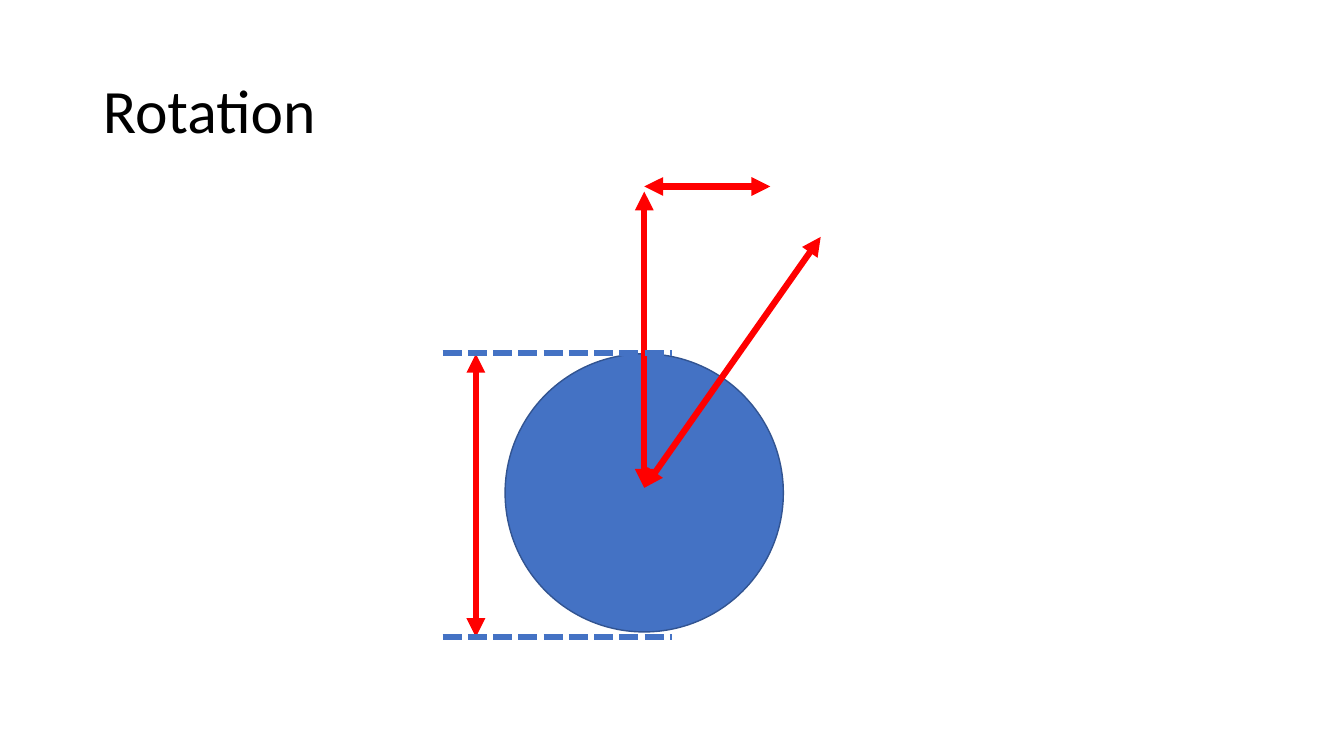
from lxml import etree
from pptx import Presentation, util as u
from pptx.dml.color import RGBColor
from pptx.enum import dml, shapes, text
from pptx.oxml.ns import qn

TITLE = "Rotation"
RED, BLUE, EDGE, BLACK = "FF0000", "4472C4", "325491", "000000"
DISC = (5.01, 3.51, 2.76, 2.76)
HUB = (6.39, 4.84)
TOP, BASE = 3.5, 6.32
UPRIGHT = (HUB, (HUB[0], 1.9))
SHIFT = ((7.64, 1.85), (HUB[0], 1.85))
HEIGHT = ((4.72, BASE), (4.72, TOP + 0.01))
TILTED = (HUB, (8.14, 2.35))
GUIDES = [((4.39, y), (6.67, y)) for y in (TOP, BASE)]


def color(code):
    return RGBColor.from_string(code)


def inches(values):
    return [u.Inches(v) for v in values]


def format_all(item, values):
    for name, value in values.items():
        setattr(item, name, value)


def add_line(slide, ends, code):
    """Add a thick straight line without a shadow."""
    start, end = ends
    line = slide.shapes.add_connector(
        shapes.MSO_CONNECTOR.STRAIGHT, *inches(start + end))
    line.line.color.rgb = color(code)
    line.line.width = u.Pt(4.5)
    etree.SubElement(line._element.spPr, qn("a:effectLst"))
    return line


def add_arrow(slide, ends):
    """Add a red line with a head at both ends."""
    ln = add_line(slide, ends, RED).line._get_or_add_ln()
    for tag in ("a:headEnd", "a:tailEnd"):
        etree.SubElement(ln, qn(tag), type="triangle")


def add_guide(slide, ends):
    guide = add_line(slide, ends, BLUE)
    guide.line.dash_style = dml.MSO_LINE.SQUARE_DOT


def add_title(slide):
    title = slide.shapes.title
    box = inches((0.92, 0.4, 11.5, 1.45))
    format_all(title, dict(zip(("left", "top", "width", "height"), box)))
    frame = title.text_frame
    frame.text = TITLE
    frame.vertical_anchor = text.MSO_ANCHOR.MIDDLE
    para = frame.paragraphs[0]
    format_all(para, {"alignment": text.PP_ALIGN.LEFT, "line_spacing": 0.9})
    font = para.runs[0].font
    format_all(font, {"name": "Calibri", "size": u.Pt(44)})
    font.color.rgb = color(BLACK)


def add_disc(slide):
    disc = slide.shapes.add_shape(shapes.MSO_SHAPE.OVAL, *inches(DISC))
    disc.shadow.inherit = False
    disc.fill.solid()
    disc.fill.fore_color.rgb = color(BLUE)
    disc.line.color.rgb = color(EDGE)
    disc.line.width = u.Pt(1)


def main():
    deck = Presentation()
    deck.slide_width, deck.slide_height = inches((13.33, 7.5))
    slide = deck.slides.add_slide(deck.slide_layouts[5])
    add_title(slide)
    add_disc(slide)
    for ends in (UPRIGHT, SHIFT, HEIGHT):
        add_arrow(slide, ends)
    for ends in GUIDES:
        add_guide(slide, ends)
    add_arrow(slide, TILTED)
    deck.save("out.pptx")


if __name__ == "__main__":
    main()
